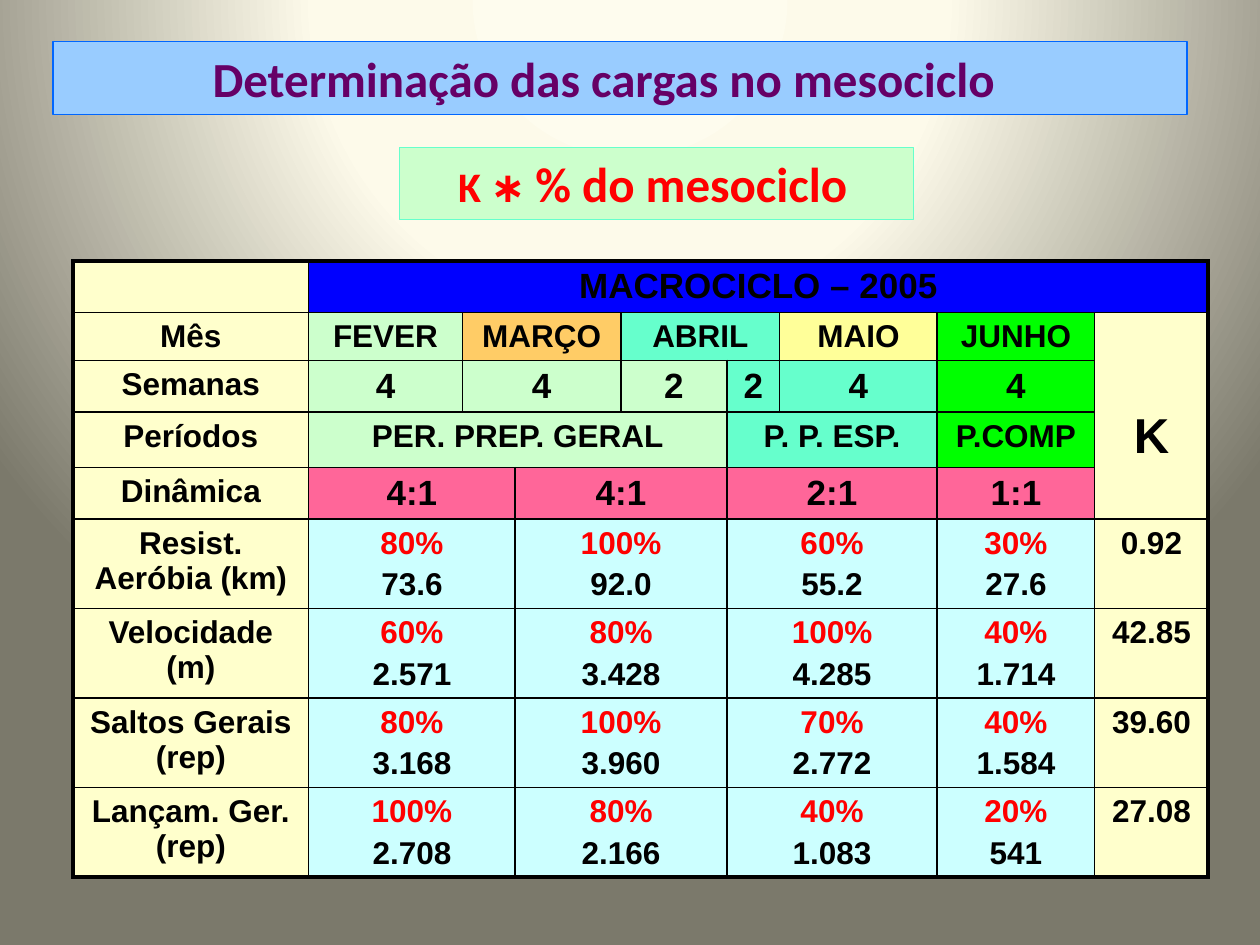
from lxml import etree
from pptx import Presentation
from pptx.dml.color import RGBColor
from pptx.enum.shapes import MSO_SHAPE
from pptx.enum.text import MSO_ANCHOR, PP_ALIGN
from pptx.oxml import parse_xml
from pptx.oxml.ns import qn
from pptx.util import Inches, Pt

RECT, MID, MIDDLE = MSO_SHAPE.RECTANGLE, PP_ALIGN.CENTER, MSO_ANCHOR.MIDDLE
DML = "http://schemas.openxmlformats.org/drawingml/2006/main"
PLAIN = "{2D5ABB26-0587-4C30-8999-92F81FD0307C}"

THEME = {
    "cream": "FFFFCC", "blue": "0000FF", "mint": "CCFFCC", "aqua": "66FFCC",
    "orange": "FFCC66", "yellow": "FFFF99", "green": "00FF00",
    "pink": "FF6699", "ice": "CCFFFF", "sky": "99CCFF", "edge": "0066FF",
    "plum": "660066", "red": "FF0000", "black": "000000",
    "glow": [(0, "FEFCEE"), (40, "FDFAEA"), (100, "7B796B")],
    "head": "Calibri", "body": "Arial",
    "title": 28, "factor": 24, "large": 20, "text": 18,
    "thin": 1, "thick": 2.25,
}

TITLE = "Determinação das cargas no mesociclo"
FORMULA = [("K ∗ ", "factor"), ("% do mesociclo", "title")]

# Bands: label, height, text size, then (text, column span, fill)
BANDS = [
    ("", 0.41, "large", [("MACROCICLO – 2005", 8, "blue")]),
    ("Mês", 0.38, "text", [
        ("FEVER", 1, "mint"), ("MARÇO", 2, "orange"), ("ABRIL", 2, "aqua"),
        ("MAIO", 1, "yellow"), ("JUNHO", 1, "green")]),
    ("Semanas", 0.41, "large", [
        ("4", 1, "mint"), ("4", 2, "mint"), ("2", 1, "mint"),
        ("2", 1, "aqua"), ("4", 1, "aqua"), ("4", 1, "green")]),
    ("Períodos", 0.44, "text", [
        ("PER. PREP. GERAL", 4, "mint"), ("P. P. ESP.", 2, "aqua"),
        ("P.COMP", 1, "green")]),
    ("Dinâmica", 0.41, "large", [
        ("4:1", 2, "pink"), ("4:1", 2, "pink"), ("2:1", 2, "pink"),
        ("1:1", 1, "pink")]),
]
# Loads: label, (share, amount) per mesocycle, K
LOADS = [
    ("Resist. Aeróbia (km)", [("80%", "73.6"), ("100%", "92.0"),
                              ("60%", "55.2"), ("30%", "27.6")], "0.92"),
    ("Velocidade (m)", [("60%", "2.571"), ("80%", "3.428"),
                        ("100%", "4.285"), ("40%", "1.714")], "42.85"),
    ("Saltos Gerais (rep)", [("80%", "3.168"), ("100%", "3.960"),
                             ("70%", "2.772"), ("40%", "1.584")], "39.60"),
    ("Lançam. Ger. (rep)", [("100%", "2.708"), ("80%", "2.166"),
                            ("40%", "1.083"), ("20%", "541")], "27.08"),
]
SPANS = [2, 2, 2, 1]
LOAD_H = 0.71
COLS = [1.87, 1.22, 0.42, 0.84, 0.84, 0.42, 1.25, 1.25, 0.9]


def rgb(name):
    """Look up a theme colour."""
    return RGBColor.from_string(THEME[name])


def style(font, face, size, color):
    """Set a bold theme font."""
    font.name, font.size, font.bold = THEME[face], Pt(THEME[size]), True
    font.color.rgb = rgb(color)


def paint(slide):
    """Give the slide its round gradient."""
    slide.background.fill.solid()
    solid = slide.element.find(".//" + qn("p:bgPr")).find(qn("a:solidFill"))
    stops = "".join(
        f'<a:gs pos="{at * 1000}"><a:srgbClr val="{hue}"/></a:gs>'
        for at, hue in THEME["glow"])
    solid.getparent().replace(solid, parse_xml(
        f'<a:gradFill xmlns:a="{DML}" rotWithShape="1"><a:gsLst>{stops}'
        '</a:gsLst><a:path path="circle"><a:fillToRect l="50000" t="-80000" '
        'r="50000" b="180000"/></a:path></a:gradFill>'))


def banner(shape, box, fill, line, width, inset, runs, color):
    """Place a filled box with one centred line of text."""
    shape.left, shape.top, shape.width, shape.height = map(Inches, box)
    shape.fill.solid()
    shape.fill.fore_color.rgb = rgb(fill)
    shape.line.color.rgb = rgb(line)
    shape.line.width = Pt(width)
    frame = shape.text_frame
    frame.word_wrap, frame.vertical_anchor = True, MIDDLE
    frame.margin_left, frame.margin_right = Inches(0.1), Inches(inset)
    frame.margin_top = frame.margin_bottom = Inches(0.05)
    para = frame.paragraphs[0]
    para.alignment = MID
    for text, size in runs:
        run = para.add_run()
        run.text = text
        style(run.font, "head", size, color)


def border(cell, sides):
    """Draw the four cell borders, thick where flagged."""
    props = cell._tc.get_or_add_tcPr()
    for side, outer in sides.items():
        width = THEME["thick" if outer else "thin"]
        line = etree.SubElement(props, qn("a:ln" + side), w=str(Pt(width)))
        fill = etree.SubElement(line, qn("a:solidFill"))
        etree.SubElement(fill, qn("a:srgbClr"), val=THEME["black"])


def put(table, row, col, lines, fill, size="text", wide=1, tall=1):
    """Fill one cell, merged as needed, with (text, colour) lines."""
    cell = table.cell(row, col)
    if wide * tall > 1:
        cell.merge(table.cell(row + tall - 1, col + wide - 1))
    border(cell, {"L": col == 0, "R": col + wide == len(table.columns),
                  "T": row == 0, "B": row + tall == len(table.rows)})
    cell.fill.solid()
    cell.fill.fore_color.rgb = rgb(fill)
    frame = cell.text_frame
    for i, (text, color) in enumerate(lines):
        para = frame.add_paragraph() if i else frame.paragraphs[0]
        para.text, para.alignment = text, MID
        style(para.font, "body", size, color)
        if i:
            para.space_before = Pt(THEME[size] * 0.2)
    return cell


def chart_loads(slide):
    """Build the macrocycle table."""
    highs = [band[1] for band in BANDS] + [LOAD_H] * len(LOADS)
    frame = slide.shapes.add_table(
        len(highs), len(COLS), Inches(0.58), Inches(2.07),
        Inches(sum(COLS)), Inches(sum(highs)))
    table = frame.table
    table.first_row = table.horz_banding = False
    table._tbl.tblPr.find(qn("a:tableStyleId")).text = PLAIN
    for part, size in zip(table.columns, COLS):
        part.width = Inches(size)
    for part, size in zip(table.rows, highs):
        part.height = Inches(size)

    for row, (label, _, size, cells) in enumerate(BANDS):
        put(table, row, 0, [(label, "black")], "cream")
        col = 1
        for text, wide, fill in cells:
            put(table, row, col, [(text, "black")], fill, size, wide)
            col += wide
    last = len(COLS) - 1
    k_cell = put(table, 1, last, [("K", "black")], "cream", "title",
                 tall=len(BANDS) - 1)
    k_cell.margin_top = Inches(0.77)
    for row, (label, loads, k) in enumerate(LOADS, len(BANDS)):
        put(table, row, 0, [(label, "black")], "cream")
        col = 1
        for (share, amount), wide in zip(loads, SPANS):
            put(table, row, col, [(share, "red"), (amount, "black")],
                "ice", wide=wide)
            col += wide
        put(table, row, last, [(k, "black")], "cream")


def main():
    """Build and save the slide."""
    deck = Presentation()
    deck.slide_width, deck.slide_height = Inches(10), Inches(7.5)
    slide = deck.slides.add_slide(deck.slide_layouts[5])
    paint(slide)
    chart_loads(slide)
    banner(slide.shapes.title, (0.42, 0.33, 9, 0.58), "sky", "edge", 0.75,
           0.36, [(TITLE, "title")], "plum")
    box = slide.shapes.add_shape(RECT, 0, 0, 0, 0)
    box.shadow.inherit = False
    banner(box, (3.17, 1.17, 4.08, 0.57), "mint", "aqua", 0, 0.16,
           FORMULA, "red")
    deck.save("out.pptx")


main()
